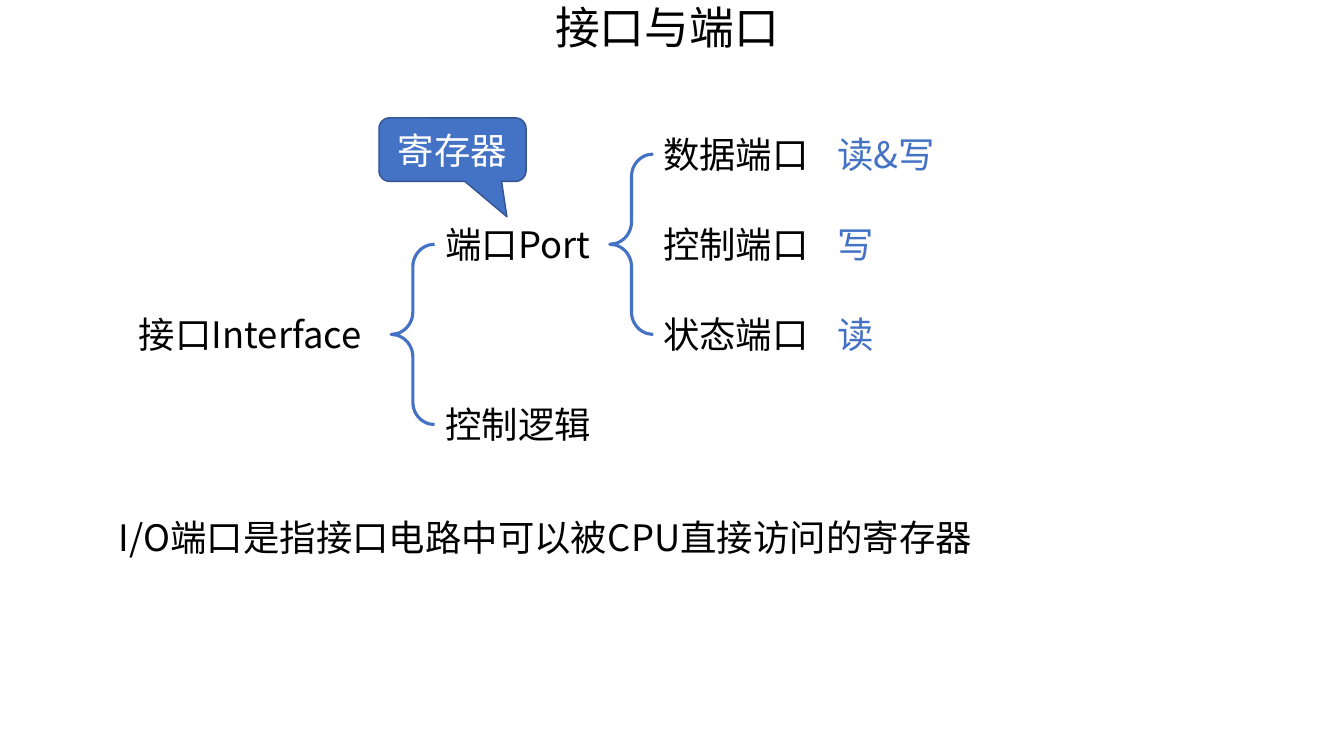
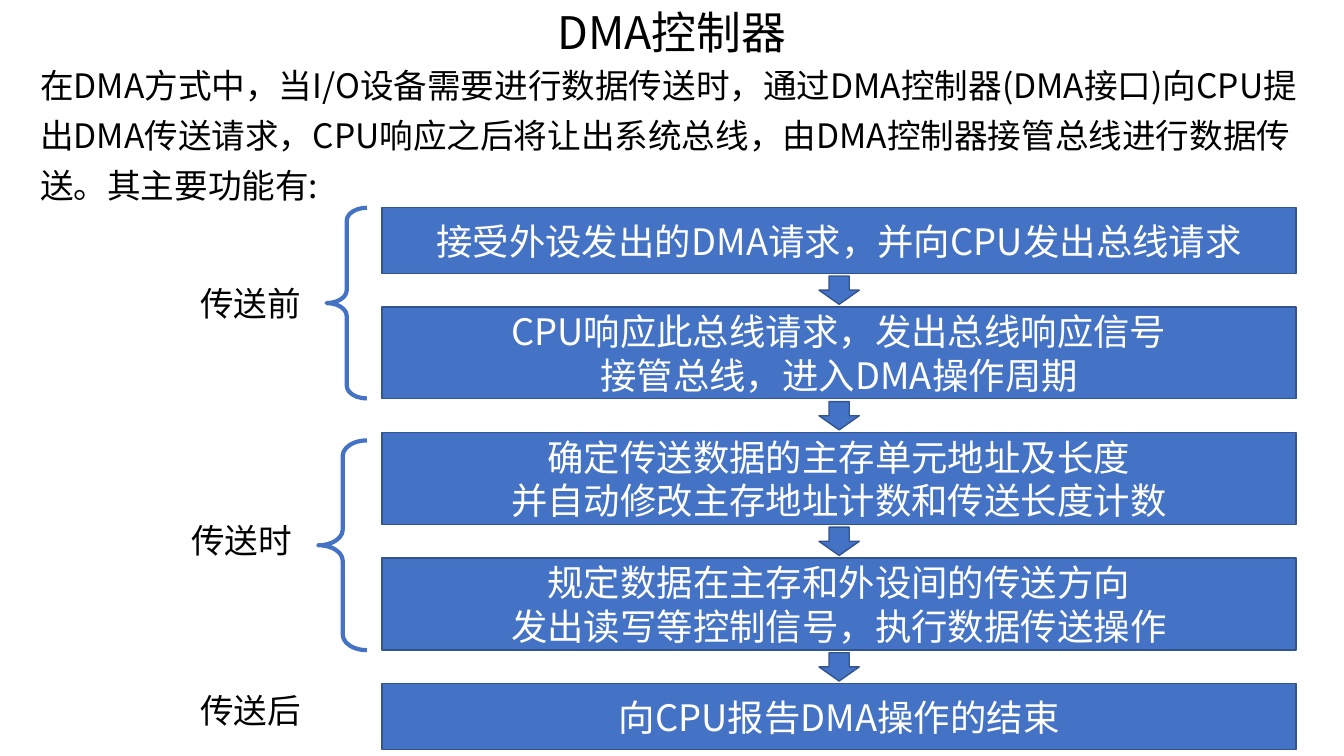
from pptx import Presentation
from pptx.dml.color import RGBColor
from pptx.enum.shapes import MSO_SHAPE
from pptx.enum.text import MSO_ANCHOR, MSO_AUTO_SIZE, PP_ALIGN
from pptx.oxml.ns import qn
from pptx.util import Pt

FONT = "Noto Sans CJK SC"
BLACK, WHITE, BLUE, EDGE = "000000", "FFFFFF", "4472C4", "325491"

# Interface tree: text, column, row, colour
COLS = {"root": 92.2, "part": 311, "port": 466.6, "access": 591.1}
WIDTHS = {"root": 187.2, "part": 123.1, "port": 123.1, "access": 123.1}
ROW_TOP, ROW_PITCH, ROW_H = 90.7, 64.4, 38.8
TREE = [
    ("接口Interface", "root", 2, BLACK),
    ("端口Port", "part", 1, BLACK),
    ("控制逻辑", "part", 3, BLACK),
    ("数据端口", "port", 0, BLACK),
    ("控制端口", "port", 1, BLACK),
    ("状态端口", "port", 2, BLACK),
    ("读&写", "access", 0, BLUE),
    ("写", "access", 1, BLUE),
    ("读", "access", 2, BLUE),
]
TREE_BRACES = [(279.4, 1), (435.6, 0)]  # left, first row; each spans two pitches
DEFINITION = "I/O端口是指接口电路中可以被CPU直接访问的寄存器"

# DMA flow
INTRO = ("在DMA方式中，当I/O设备需要进行数据传送时，通过DMA控制器(DMA接口)向CPU提出"
         "DMA传送请求，CPU响应之后将让出系统总线，由DMA控制器接管总线进行数据传送。"
         "其主要功能有:")
STEPS = [
    "接受外设发出的DMA请求，并向CPU发出总线请求",
    "CPU响应此总线请求，发出总线响应信号\n接管总线，进入DMA操作周期",
    "确定传送数据的主存单元地址及长度\n并自动修改主存地址计数和传送长度计数",
    "规定数据在主存和外设间的传送方向\n发出读写等控制信号，执行数据传送操作",
    "向CPU报告DMA操作的结束",
]
STEP_X, STEP_TOP, STEP_W, STEP_GAP = 272.9, 148.4, 653, 24.1
STEP_H = {1: 46.8, 2: 65.6}  # by number of lines
ARROW_W, ARROW_H = 28.8, 20.2
PHASES = [("传送前", 136.1, 198.7), ("传送时", 129.6, 367.9), ("传送后", 136.1, 488.9)]
PHASE_BRACES = [(233.3, 148.4, 28.8, 136.2), (227.5, 314.6, 34.6, 149.8)]


def rgb(color):
    return RGBColor.from_string(color)


def write(tf, text, size, color, align=PP_ALIGN.LEFT, spacing=None):
    tf.text = text
    tf.word_wrap = True
    for p in tf.paragraphs:
        p.alignment = align
        if spacing:
            p.line_spacing = spacing
        for r in p.runs:
            r.font.size = Pt(size)
            r.font.name = FONT
            r.font.color.rgb = rgb(color)
            ea = r.font.latin_ea if hasattr(r.font, "latin_ea") else None
            if ea is None:
                rpr = r._r.get_or_add_rPr()
                ea = rpr.makeelement(qn("a:ea"), {"typeface": FONT})
                rpr.find(qn("a:latin")).addnext(ea)


def add_text(s, box, text, size=26, color=BLACK, spacing=None):
    tf = s.shapes.add_textbox(*map(Pt, box)).text_frame
    write(tf, text, size, color, spacing=spacing)


def add_block(s, kind, box, text=""):
    """Add a blue filled shape with white centred text."""
    sp = s.shapes.add_shape(kind, *map(Pt, box))
    sp.shadow.inherit = False
    sp.fill.solid()
    sp.fill.fore_color.rgb = rgb(BLUE)
    sp.line.color.rgb = rgb(EDGE)
    sp.line.width = Pt(1)
    if text:
        sp.text_frame.vertical_anchor = MSO_ANCHOR.MIDDLE
        write(sp.text_frame, text, 26, WHITE, PP_ALIGN.CENTER)
    return sp


def add_brace(s, box, curve, width):
    sp = s.shapes.add_shape(MSO_SHAPE.LEFT_BRACE, *map(Pt, box))
    sp.shadow.inherit = False
    sp.adjustments[0] = curve
    sp.fill.background()
    sp.line.color.rgb = rgb(BLUE)
    sp.line.width = Pt(width)


def add_slide(prs, title, box):
    s = prs.slides.add_slide(prs.slide_layouts[5])
    sp = s.shapes.title
    sp.left, sp.top, sp.width, sp.height = map(Pt, box)
    tf = sp.text_frame
    tf.auto_size = MSO_AUTO_SIZE.NONE
    tf.vertical_anchor = MSO_ANCHOR.TOP
    write(tf, title, 32, BLACK, PP_ALIGN.CENTER)
    return s


def build_interface(prs):
    s = add_slide(prs, "接口与端口", (314.6, -3.6, 324, 46))
    for text, col, row, color in TREE:
        box = COLS[col], ROW_TOP + row * ROW_PITCH, WIDTHS[col], ROW_H
        add_text(s, box, text, color=color)
    for left, row in TREE_BRACES:
        top = ROW_TOP + row * ROW_PITCH + ROW_H / 2
        add_brace(s, (left, top, 31, 2 * ROW_PITCH), 0.518, 2.25)
    add_text(s, (77.8, 348.5, 797, 49), DEFINITION, spacing=1.5)
    callout = add_block(s, MSO_SHAPE.ROUNDED_RECTANGULAR_CALLOUT,
                        (270.7, 84.2, 105.1, 45.4), "寄存器")
    for i, value in enumerate((0.37, 1.057, 0.167)):
        callout.adjustments[i] = value


def build_dma(prs):
    s = add_slide(prs, "DMA控制器", (338.4, 0, 283, 46))
    add_text(s, (21.6, 35.3, 916.6, 113), INTRO, 24, spacing=Pt(36))
    top = STEP_TOP
    for i, text in enumerate(STEPS):
        if i:
            arrow_x = STEP_X + (STEP_W - ARROW_W) / 2
            arrow_y = top - (STEP_GAP + ARROW_H) / 2
            add_block(s, MSO_SHAPE.DOWN_ARROW, (arrow_x, arrow_y, ARROW_W, ARROW_H))
        height = STEP_H[len(text.split("\n"))]
        add_block(s, MSO_SHAPE.RECTANGLE, (STEP_X, top, STEP_W, height), text)
        top += height + STEP_GAP
    for text, left, label_top in PHASES:
        add_text(s, (left, label_top, 91.4, 37.4), text, 24)
    for box in PHASE_BRACES:
        add_brace(s, box, 0.319, 3)


def main():
    prs = Presentation()
    prs.slide_width, prs.slide_height = Pt(960), Pt(540)
    build_interface(prs)
    build_dma(prs)
    prs.save("out.pptx")


if __name__ == "__main__":
    main()
